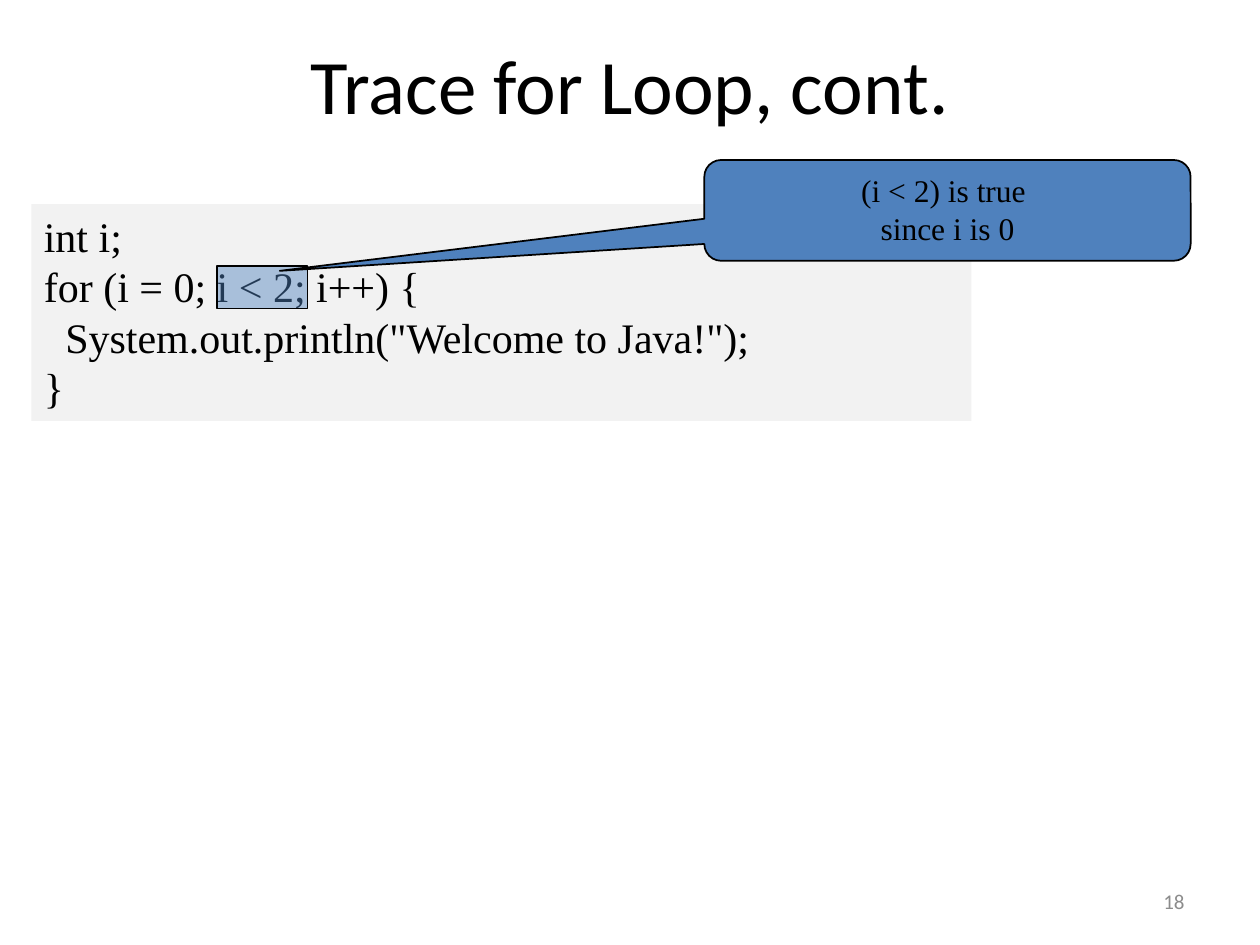
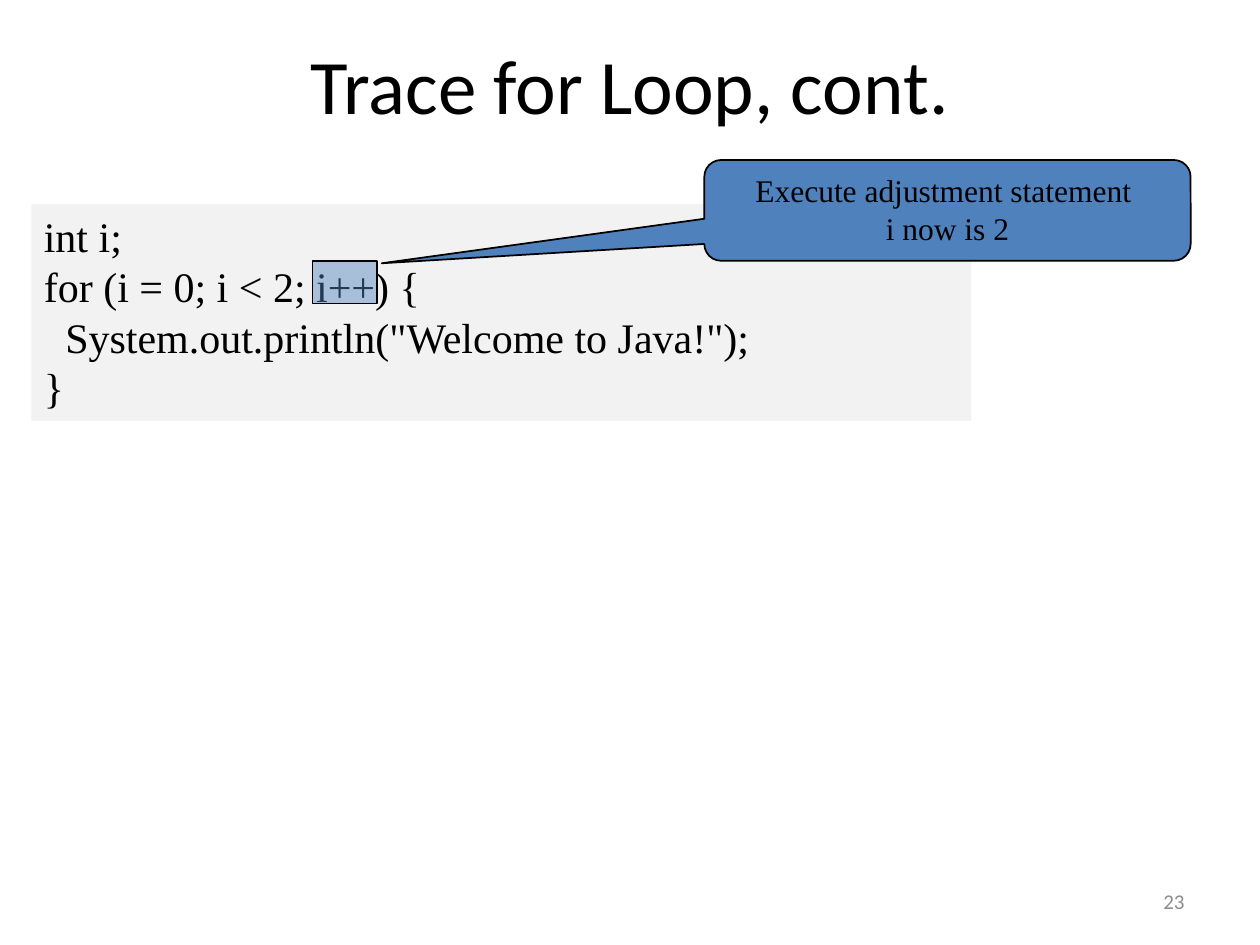
from dataclasses import dataclass
from lxml import etree
from pptx import Presentation
from pptx.dml.color import RGBColor
from pptx.enum.shapes import MSO_SHAPE
from pptx.enum.text import MSO_ANCHOR, PP_ALIGN
from pptx.oxml.ns import qn
from pptx.util import Inches, Pt

RECT = MSO_SHAPE.RECTANGLE
CALLOUT = MSO_SHAPE.ROUNDED_RECTANGULAR_CALLOUT
LEFT, CENTER, RIGHT = PP_ALIGN.LEFT, PP_ALIGN.CENTER, PP_ALIGN.RIGHT
TOP, MIDDLE = MSO_ANCHOR.TOP, MSO_ANCHOR.MIDDLE


@dataclass(frozen=True)
class Theme:
    text: str = "000000"
    accent: str = "4F81BD"
    panel: str = "F2F2F2"
    muted: str = "8C8C8C"
    sans: str = "Calibri"
    serif: str = "Times New Roman"
    title_size: int = 44
    code_size: int = 24
    note_size: int = 18
    number_size: int = 12
    line_width: int = 1
    highlight_alpha: int = 45


def write(sp, lines, *, font, size, color, align=LEFT, anchor=TOP, indents=None):
    """Write one paragraph per line; indents maps line index to inches."""
    tf = sp.text_frame
    tf.word_wrap = True
    tf.vertical_anchor = anchor
    for i, line in enumerate(lines):
        p = tf.paragraphs[0] if i == 0 else tf.add_paragraph()
        p.alignment = align
        if indents and i in indents:
            p._p.get_or_add_pPr().set("marL", str(Inches(indents[i])))
        r = p.add_run()
        r.text = line
        r.font.name = font
        r.font.size = Pt(size)
        r.font.color.rgb = RGBColor.from_string(color)


class Deck:
    def __init__(self, theme):
        self.theme = theme
        self.prs = Presentation()
        self.prs.slide_width, self.prs.slide_height = Inches(10), Inches(7.5)
        self.s = None

    def new_slide(self):
        self.s = self.prs.slides.add_slide(self.prs.slide_layouts[6])

    def text_box(self, box, text, **fmt):
        sp = self.s.shapes.add_textbox(*map(Inches, box))
        write(sp, [text], anchor=MIDDLE, **fmt)

    def shape(self, kind, box, fill, outlined=True):
        sp = self.s.shapes.add_shape(kind, *map(Inches, box))
        sp.shadow.inherit = False
        sp.fill.solid()
        sp.fill.fore_color.rgb = RGBColor.from_string(fill)
        if outlined:
            sp.line.color.rgb = RGBColor.from_string(self.theme.text)
            sp.line.width = Pt(self.theme.line_width)
        else:
            sp.line.fill.background()
        return sp

    def title(self, text):
        t = self.theme
        self.text_box((0.75, 0.25, 8.5, 0.83), text, font=t.sans,
                      size=t.title_size, color=t.text, align=CENTER)

    def number(self, value):
        t = self.theme
        self.text_box((7.17, 6.95, 2.33, 0.4), str(value), font=t.sans,
                      size=t.number_size, color=t.muted, align=RIGHT)

    def code(self, lines, indents):
        t = self.theme
        sp = self.shape(RECT, (0.25, 1.62, 7.46, 1.72), t.panel, outlined=False)
        write(sp, lines, font=t.serif, size=t.code_size, color=t.text, indents=indents)

    def highlight(self, box):
        sp = self.shape(RECT, box, self.theme.accent)
        color = sp.fill._xPr.find(qn("a:solidFill"))[0]
        alpha = etree.SubElement(color, qn("a:alpha"))
        alpha.set("val", str(self.theme.highlight_alpha * 1000))

    def callout(self, lines, tip):
        t = self.theme
        x, y, w, h = box = (5.59, 1.27, 3.86, 0.8)
        sp = self.shape(CALLOUT, box, t.accent)
        # The tip is given on the slide; adjustments count from the box centre
        sp.adjustments[0] = (tip[0] - x) / w - 0.5
        sp.adjustments[1] = (tip[1] - y) / h - 0.5
        sp.adjustments[2] = 0.167
        write(sp, lines, font=t.serif, size=t.note_size, color=t.text, align=CENTER)


# Content: the same loop on each slide, with one step marked
TITLE = "Trace for Loop, cont."
CODE = ["int i;", "for (i = 0; i < 2; i++) {",
        'System.out.println("Welcome to Java!");', "}"]
CODE_INDENTS = {2: 0.17}
STEPS = [
    # slide number, highlight box, callout tip, callout lines
    (18, (1.72, 2.11, 0.72, 0.34), (2.22, 2.15),
     ["(i < 2) is true ", "since i is 0"]),
    (23, (2.48, 2.07, 0.51, 0.34), (3.03, 2.09),
     ["Execute adjustment statement ", "i now is 2"]),
]

deck = Deck(Theme())
for number, marked, tip, note in STEPS:
    deck.new_slide()
    deck.code(CODE, CODE_INDENTS)
    deck.title(TITLE)
    deck.number(number)
    deck.highlight(marked)
    deck.callout(note, tip)

deck.prs.save("out.pptx")
